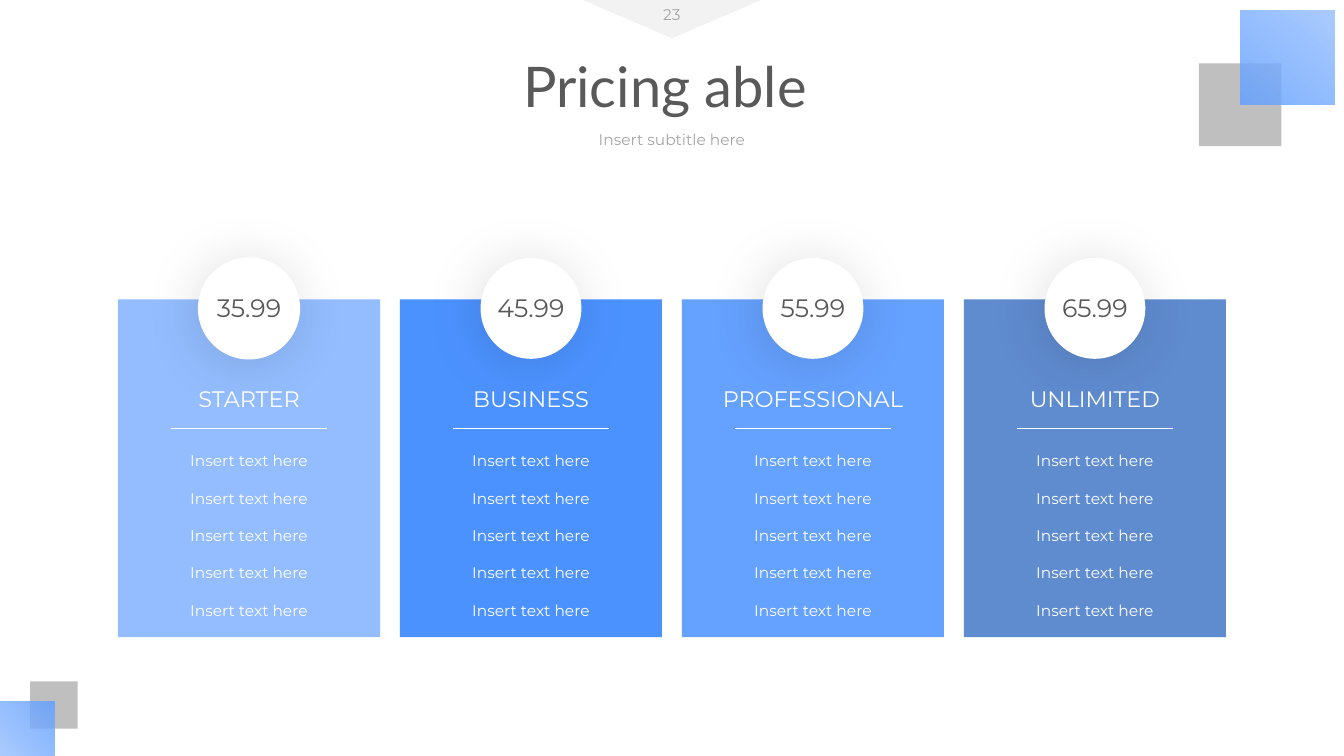
from dataclasses import dataclass

from lxml import etree
from pptx import Presentation
from pptx.dml.color import RGBColor
from pptx.enum.shapes import MSO_CONNECTOR as Connector, MSO_SHAPE as Shape
from pptx.enum.text import MSO_ANCHOR as Anchor, MSO_AUTO_SIZE as AutoSize, PP_ALIGN as Align
from pptx.oxml import parse_xml
from pptx.oxml.ns import nsdecls, qn
from pptx.util import Inches, Pt


@dataclass(frozen=True)
class Theme:
    heading_font: str = "Lato"
    body_font: str = "Montserrat"
    heading_size: int = 40
    price_size: int = 18
    plan_size: int = 16
    small_size: int = 11
    white: str = "FFFFFF"
    dark: str = "595959"
    muted: str = "A5A5A5"
    square: str = "BFBFBF"
    tab: str = "F2F2F2"
    glow_light: str = "93BDFF"
    glow_deep: str = "65A1FF"


theme = Theme()
WIDTH, HEIGHT = 13.33, 7.5
MIDDLE = WIDTH / 2

deck = Presentation()
deck.slide_width, deck.slide_height = Inches(WIDTH), Inches(HEIGHT)
page = deck.slides.add_slide(deck.slide_layouts[5])


def add_block(kind, left, top, width, height, color):
    block = page.shapes.add_shape(kind, Inches(left), Inches(top), Inches(width), Inches(height))
    block.shadow.inherit = False
    block.fill.solid()
    block.fill.fore_color.rgb = RGBColor.from_string(color)
    block.line.fill.background()
    return block


def add_label(text, center, top, width, height, size, color, font=theme.body_font, box=None):
    box = box or page.shapes.add_textbox(0, 0, 0, 0)
    box.left, box.top = Inches(center - width / 2), Inches(top)
    box.width, box.height = Inches(width), Inches(height)
    frame = box.text_frame
    frame.word_wrap = True
    frame.auto_size = AutoSize.NONE
    frame.vertical_anchor = Anchor.TOP
    para = frame.paragraphs[0]
    para.alignment = Align.CENTER
    span = para.add_run()
    span.text = text
    span.font.name = font
    span.font.size = Pt(size)
    span.font.color.rgb = RGBColor.from_string(color)


tab = add_block(Shape.ISOSCELES_TRIANGLE, MIDDLE - 0.885, 0, 1.77, 0.38, theme.tab)
tab.rotation = 180

corners = [
    ((11.89, 0.63, 0.82), (12.3, 0.1, 0.94), False),
    ((0.3, 6.76, 0.47), (0, HEIGHT - 0.54, 0.54), True),
]
for gray, blue, turned in corners:
    squares = [
        add_block(Shape.RECTANGLE, left, top, side, side, color)
        for (left, top, side), color in ((gray, theme.square), (blue, theme.glow_light))
    ]
    for square in squares:
        if turned:
            square.rotation = 270
            square._element.spPr.find(qn("a:xfrm")).set("flipH", "1")
    props = squares[1]._element.spPr
    props.replace(props.find(qn("a:solidFill")), parse_xml(
        f'<a:gradFill {nsdecls("a")} rotWithShape="1"><a:gsLst>'
        f'<a:gs pos="0"><a:srgbClr val="{theme.glow_light}"><a:alpha val="78000"/></a:srgbClr></a:gs>'
        f'<a:gs pos="100000"><a:srgbClr val="{theme.glow_deep}"><a:alpha val="85000"/></a:srgbClr></a:gs>'
        f'</a:gsLst><a:lin ang="{130 * 60000}" scaled="0"/></a:gradFill>'))

add_label("23", MIDDLE, 0, 1.11, 0.29, theme.small_size, theme.muted)
add_label("Insert subtitle here", MIDDLE, 1.24, 1.67, 0.29, theme.small_size, theme.muted)
add_label("Pricing able ", MIDDLE, 0.46, 5.99, 0.77, theme.heading_size, theme.dark,
          theme.heading_font, page.shapes.title)

plans = [
    ("STARTER", "35.99", "93BDFF", 1.27),
    ("BUSINESS", "45.99", "4C92FF", 1.39),
    ("PROFESSIONAL", "55.99", "65A1FF", 2.05),
    ("UNLIMITED", "65.99", "5F8BCF", 1.53),
]
CARD_LEFT, CARD_TOP, CARD_WIDTH, CARD_HEIGHT = 1.17, 2.97, 2.6, 3.35
CARD_STEP = (WIDTH - 2 * CARD_LEFT - CARD_WIDTH) / (len(plans) - 1)
DISC_TOP, DISC_SIZE = 2.56, 1
FEATURE_TOP, FEATURE_STEP, FEATURE_COUNT = 4.43, 0.37, 5
RULE_TOP, RULE_WIDTH = 4.25, 1.55

for column, (plan, price, color, plan_width) in enumerate(plans):
    left = CARD_LEFT + column * CARD_STEP
    center = left + CARD_WIDTH / 2
    add_block(Shape.RECTANGLE, left, CARD_TOP, CARD_WIDTH, CARD_HEIGHT, color)

    disc = add_block(Shape.OVAL, center - DISC_SIZE / 2, DISC_TOP, DISC_SIZE, DISC_SIZE, theme.white)
    if column == 0:
        disc.line.color.rgb = RGBColor.from_string(theme.white)
        disc.line.width = Pt(1)
    disc._element.spPr.find(qn("a:effectLst")).append(parse_xml(
        f'<a:outerShdw {nsdecls("a")} blurRad="{Pt(39)}" dist="{Pt(3)}" dir="{135 * 60000}" '
        'algn="ctr" rotWithShape="0"><a:srgbClr val="000000"><a:alpha val="13000"/></a:srgbClr>'
        '</a:outerShdw>'))

    add_label(price, center, 2.85, DISC_SIZE, 0.4, theme.price_size, theme.dark)
    add_label(plan, center, 3.77, plan_width, 0.37, theme.plan_size, theme.white)

    rule = page.shapes.add_connector(
        Connector.STRAIGHT, Inches(center - RULE_WIDTH / 2), Inches(RULE_TOP),
        Inches(center + RULE_WIDTH / 2), Inches(RULE_TOP))
    rule.line.color.rgb = RGBColor.from_string(theme.white)
    rule.line.width = Pt(0.75)
    etree.SubElement(rule._element.spPr, qn("a:effectLst"))

    for row in range(FEATURE_COUNT):
        add_label("Insert text here", center, FEATURE_TOP + row * FEATURE_STEP, 1.38, 0.29,
                  theme.small_size, theme.white)

deck.save("out.pptx")
